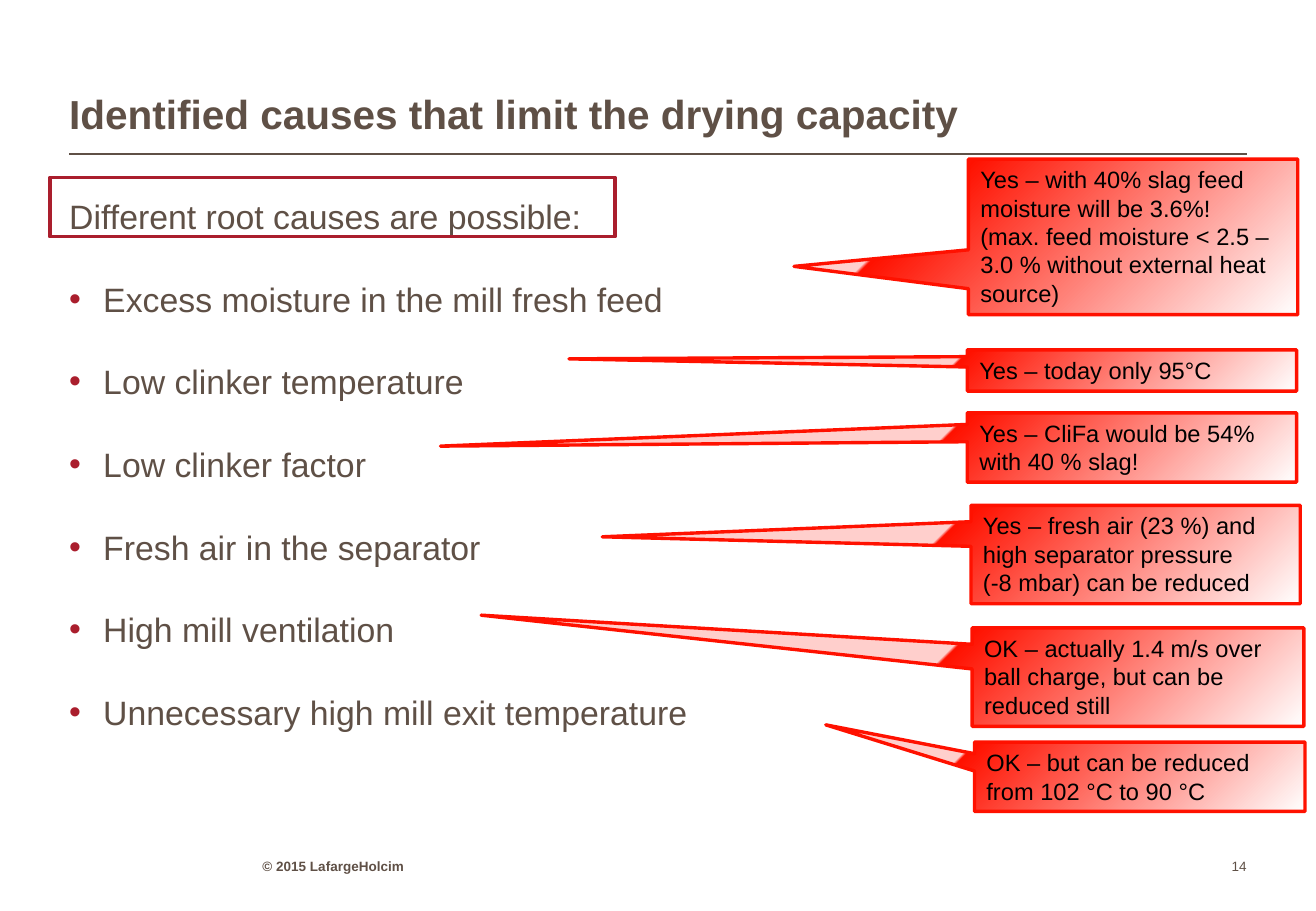
import copy
from dataclasses import dataclass

import lxml.etree
import pptx
import pptx.dml.color
import pptx.enum.shapes
import pptx.enum.text
import pptx.oxml.ns
import pptx.util

RGB = pptx.dml.color.RGBColor
BROWN = RGB(0x5F, 0x50, 0x46)
CRIMSON = RGB(0xAA, 0x1E, 0x2D)
RED = RGB(0xFF, 0x11, 0x00)
PINK = RGB(0xFF, 0xCF, 0xCC)
WHITE = RGB(0xFF, 0xFF, 0xFF)
BLACK = RGB(0x00, 0x00, 0x00)

FONT = "Arial"
SLIDE_W = pptx.util.Inches(10.83)
SLIDE_H = pptx.util.Inches(7.5)
INDENT = pptx.util.Inches(0.28)
ANCHOR = pptx.enum.text.MSO_ANCHOR
ALIGN = pptx.enum.text.PP_ALIGN
SHAPE = pptx.enum.shapes.MSO_SHAPE
qn = pptx.oxml.ns.qn


@dataclass(frozen=True)
class Box:
    """Place and size in percent of the slide's width and height."""
    left: float
    top: float
    width: float
    height: float

    def emu(self) -> tuple[int, int, int, int]:
        return (across(self.left), down(self.top),
                across(self.width), down(self.height))


@dataclass(frozen=True)
class Callout:
    """A finding; the tip is relative to the box centre, in box sizes."""
    box: Box
    tip: tuple[float, float]
    paragraphs: tuple[str, ...]


TITLE = Box(5.26, 2.8, 89.47, 12.4)
BODY = Box(5.26, 21.07, 89.47, 69.07)
FOOTER = Box(19.94, 93.6, 31.1, 2.4)
NUMBER = Box(90.4, 93.6, 4.34, 2.4)
INTRO_FRAME = Box(3.79, 19.47, 42.94, 6.53)
RULE_Y = 16.93

INTRO = "Different root causes are possible:"
CAUSES = (
    "Excess moisture in the mill fresh feed",
    "Low clinker temperature",
    "Low clinker factor",
    "Fresh air in the separator",
    "High mill ventilation",
    "Unnecessary high mill exit temperature",
)
CALLOUTS = (
    Callout(Box(73.59, 17.47, 25.02, 17.07), (-1.03, 0.19),
            ("Yes – with 40% slag feed moisture will be 3.6%!",
             "(max. feed moisture < 2.5 – 3.0 % without external heat source)")),
    Callout(Box(73.5, 38.4, 25.02, 4.53), (-1.71, -0.28),
            ("Yes – today only 95°C",)),
    Callout(Box(73.5, 45.33, 25.02, 7.6), (-2.1, -0.02),
            ("Yes – CliFa would be 54% with 40 % slag!",)),
    Callout(Box(73.87, 68.93, 25.21, 10.8), (-1.98, -0.63),
            ("OK – actually 1.4 m/s over ball charge, but can be reduced still",)),
    Callout(Box(73.78, 55.47, 25.02, 10.8), (-1.62, -0.18),
            ("Yes – fresh air (23 %) and high separator pressure\n"
             "(-8 mbar) can be reduced",)),
    Callout(Box(74.05, 81.47, 25.12, 7.6), (-0.95, -0.75),
            ("OK – but can be reduced from 102 °C to 90 °C",)),
)


def across(percent: float) -> int:
    return round(SLIDE_W * percent / 100)


def down(percent: float) -> int:
    return round(SLIDE_H * percent / 100)


def place(sp, box: Box) -> None:
    sp.left, sp.top, sp.width, sp.height = box.emu()


def prepare(tf, anchor, margin_x: float = 0, margin_y: float = 0) -> None:
    tf.word_wrap = True
    tf.auto_size = pptx.enum.text.MSO_AUTO_SIZE.NONE
    tf.vertical_anchor = anchor
    tf.margin_left = tf.margin_right = pptx.util.Inches(margin_x)
    tf.margin_top = tf.margin_bottom = pptx.util.Inches(margin_y)


def add_run(p, text: str, size: float, color: RGB, bold: bool = False) -> None:
    for i, line in enumerate(text.split("\n")):
        if i:
            p.add_line_break()
        r = p.add_run()
        r.text = line
        r.font.name = FONT
        r.font.size = pptx.util.Pt(size)
        r.font.bold = bold
        r.font.color.rgb = color


def next_paragraph(tf, index: int):
    return tf.add_paragraph() if index else tf.paragraphs[0]


def set_bullet(p, shown: bool) -> None:
    pPr = p._p.get_or_add_pPr()
    pPr.set("marL", str(INDENT))
    pPr.set("indent", str(-INDENT))
    if not shown:
        lxml.etree.SubElement(pPr, qn("a:buNone"))
        return
    clr = lxml.etree.SubElement(pPr, qn("a:buClr"))
    lxml.etree.SubElement(clr, qn("a:srgbClr"), val=str(CRIMSON))
    lxml.etree.SubElement(pPr, qn("a:buFont"), typeface=FONT)
    lxml.etree.SubElement(pPr, qn("a:buChar"), char="•")


def add_label(slide, box: Box, text: str, align, bold: bool) -> None:
    tf = slide.shapes.add_textbox(*box.emu()).text_frame
    prepare(tf, ANCHOR.BOTTOM)
    p = tf.paragraphs[0]
    p.alignment = align
    add_run(p, text, 8, BROWN, bold)


def add_outlined(slide, kind, box: Box, color: RGB):
    sp = slide.shapes.add_shape(kind, *box.emu())
    sp.shadow.inherit = False
    sp.line.color.rgb = color
    sp.line.width = pptx.util.Pt(2)
    return sp


def add_callout(slide, callout: Callout) -> None:
    sp = add_outlined(slide, SHAPE.RECTANGULAR_CALLOUT, callout.box, RED)
    sp.adjustments[0], sp.adjustments[1] = callout.tip
    # Three-stop gradient running to the lower right
    sp.fill.gradient()
    sp.fill.gradient_angle = 315
    stops = sp._element.spPr.find(".//" + qn("a:gsLst"))
    stops.append(copy.deepcopy(stops[0]))
    colors = ((0, PINK), (0.01, RED), (1, WHITE))
    for stop, (position, color) in zip(sp.fill.gradient_stops, colors):
        stop.position = position
        stop.color.rgb = color
    tf = sp.text_frame
    prepare(tf, ANCHOR.TOP, 0.1, 0.05)
    for i, text in enumerate(callout.paragraphs):
        p = next_paragraph(tf, i)
        p.alignment = ALIGN.LEFT
        add_run(p, text, 14, BLACK)


def main() -> None:
    prs = pptx.Presentation()
    prs.slide_width, prs.slide_height = SLIDE_W, SLIDE_H
    slide = prs.slides.add_slide(prs.slide_layouts[1])

    # Title and the rule below it
    title = slide.shapes.title
    place(title, TITLE)
    prepare(title.text_frame, ANCHOR.BOTTOM)
    p = title.text_frame.paragraphs[0]
    p.alignment = ALIGN.LEFT
    p.line_spacing = 0.95
    add_run(p, "Identified causes that limit the drying capacity", 24, BROWN, True)
    rule = slide.shapes.add_connector(
        pptx.enum.shapes.MSO_CONNECTOR.STRAIGHT, across(TITLE.left), down(RULE_Y),
        across(TITLE.left + TITLE.width), down(RULE_Y))
    rule.line.color.rgb = BROWN
    rule.line.width = pptx.util.Pt(1)
    lxml.etree.SubElement(rule._element.spPr, qn("a:effectLst"))

    # Root causes
    body = slide.placeholders[1]
    place(body, BODY)
    tf = body.text_frame
    prepare(tf, ANCHOR.TOP, margin_y=0.03)
    for i, text in enumerate((INTRO, *CAUSES)):
        p = next_paragraph(tf, i)
        set_bullet(p, shown=i > 0)
        p.space_before = pptx.util.Pt(25 if i else 0)
        add_run(p, text, 20, BROWN)

    # Footer
    add_label(slide, FOOTER, "© 2015 LafargeHolcim", ALIGN.LEFT, True)
    add_label(slide, NUMBER, "14", ALIGN.RIGHT, False)

    # Findings and the frame around the introduction
    for callout in CALLOUTS:
        add_callout(slide, callout)
    add_outlined(slide, SHAPE.RECTANGLE, INTRO_FRAME, CRIMSON).fill.background()

    prs.save("out.pptx")


if __name__ == "__main__":
    main()
